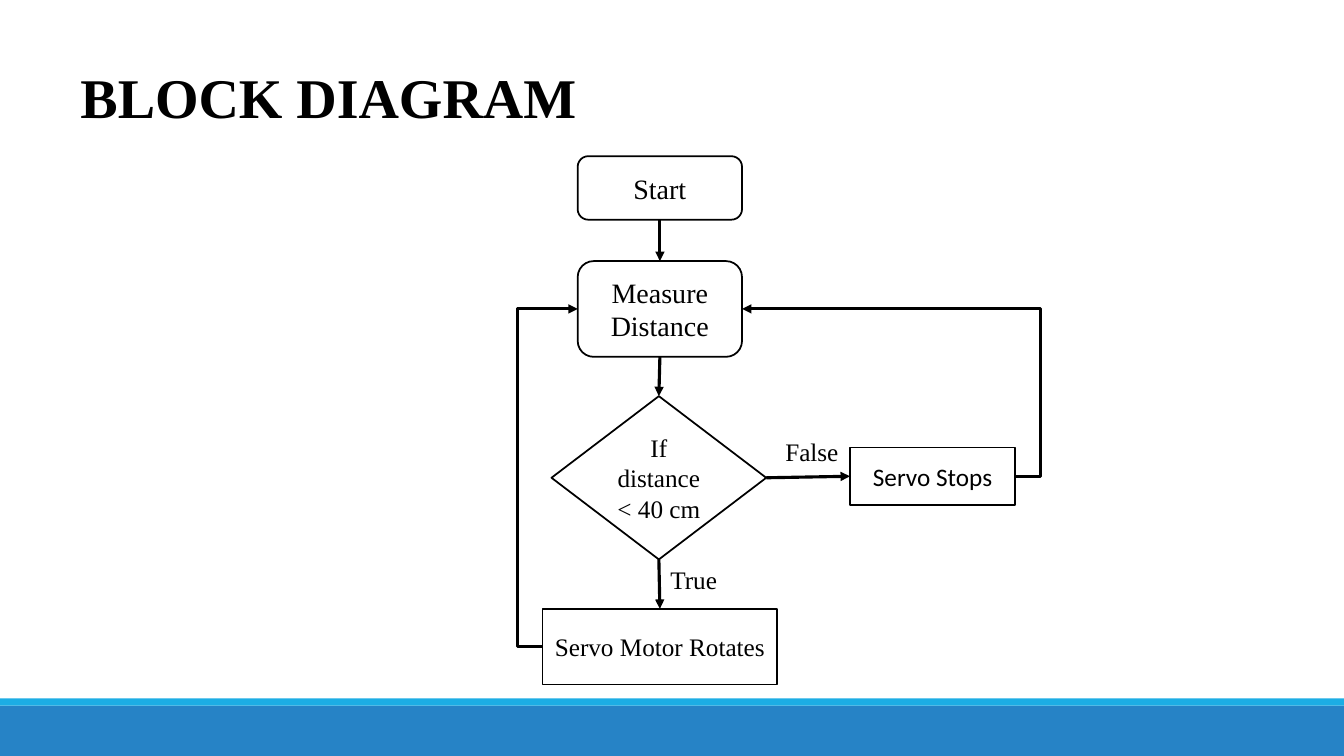
from lxml.etree import SubElement
from pptx import Presentation
from pptx.dml.color import RGBColor
from pptx.enum.shapes import MSO_CONNECTOR, MSO_SHAPE
from pptx.enum.text import MSO_ANCHOR, PP_ALIGN
from pptx.oxml.ns import qn
from pptx.util import Inches, Pt

COLORS = {"ink": "000000", "paper": "FFFFFF", "bar": "2683C6", "stripe": "1CADE4"}
SERIF, SANS = "Times New Roman", "Calibri"
WIDE, HIGH = 13.33, 7.5
CELL = 0.1  # grid pitch of the flow chart, in inches
LANE = 0.25  # distance of a return path from the node it leaves
TOP, LEFT, BOTTOM, RIGHT = range(4)

# name: shape, text, (column, row, columns, rows), size, font
NODES = {
    "start": (MSO_SHAPE.ROUNDED_RECTANGLE, "Start", (6, 0, 16.3, 6.3), 20, SERIF),
    "measure": (MSO_SHAPE.ROUNDED_RECTANGLE, "Measure Distance",
                (6, 10.4, 16.3, 9.5), 20, SERIF),
    "test": (MSO_SHAPE.DIAMOND, "If distance < 40 cm",
             (3.4, 23.8, 21.3, 16.2), 18, SERIF),
    "rotate": (MSO_SHAPE.RECTANGLE, "Servo Motor Rotates",
               (2.5, 44.9, 23.3, 7.5), 18, SERIF),
    "stop": (MSO_SHAPE.RECTANGLE, "Servo Stops", (33, 28.9, 16.4, 5.7), 18, SANS),
}
LINKS = [
    ("start", BOTTOM, "measure", TOP),
    ("measure", BOTTOM, "test", TOP),
    ("test", BOTTOM, "rotate", TOP),
    ("test", RIGHT, "stop", LEFT),
    ("stop", RIGHT, "measure", RIGHT),
    ("rotate", LEFT, "measure", LEFT),
]
LABELS = [("True", (14.2, 40, 6.7, 4)), ("False", (25.6, 27.3, 7.3, 4))]


def tint(name):
    return RGBColor.from_string(COLORS[name])


def style(para, size, face, bold=False):
    font = para.font
    font.size, font.name, font.bold = Pt(size), face, bold
    font.color.rgb = tint("ink")


def shape(slide, kind, box, fill):
    item = slide.shapes.add_shape(kind, *map(Inches, box))
    item.shadow.inherit = False
    item.fill.solid()
    item.fill.fore_color.rgb = tint(fill)
    item.line.fill.background()
    return item


def label(slide, text, box, size, bold=False):
    frame = slide.shapes.add_textbox(*map(Inches, box)).text_frame
    frame.word_wrap = False
    frame.text = text
    style(frame.paragraphs[0], size, SERIF, bold)


def node(slide, kind, text, box, size, face):
    item = shape(slide, kind, box, "paper")
    item.line.color.rgb = tint("ink")
    item.line.width = Pt(1.25)
    frame = item.text_frame
    frame.word_wrap = True
    frame.vertical_anchor = MSO_ANCHOR.MIDDLE
    frame.text = text
    para = frame.paragraphs[0]
    para.alignment = PP_ALIGN.CENTER
    style(para, size, face)
    return item


def link(slide, tail, out, head, into):
    # A path that leaves and enters on the same side loops round in a lane
    loop = out == into
    kind = MSO_CONNECTOR.ELBOW if loop else MSO_CONNECTOR.STRAIGHT
    wire = slide.shapes.add_connector(kind, 0, 0, 0, 0)
    wire.begin_connect(tail, out)
    wire.end_connect(head, into)
    wire.line.color.rgb = tint("ink")
    wire.line.width = Pt(2.25)
    props = wire.element.spPr
    if loop:
        bend = round(-LANE / wire.width.inches * 100000)
        guides = props.find(qn("a:prstGeom")).get_or_add_avLst()
        SubElement(guides, qn("a:gd"), name="adj1", fmla=f"val {bend}")
    SubElement(props.find(qn("a:ln")), qn("a:tailEnd"), type="triangle")
    SubElement(props, qn("a:effectLst"))


def footer(slide, box):
    x, y, w, h = box
    thin = 0.07
    shape(slide, MSO_SHAPE.RECTANGLE, (x, y + thin, w, h - thin), "bar")
    shape(slide, MSO_SHAPE.RECTANGLE, (x, y, w, thin), "stripe")


def chart(slide, x, y):
    def place(cells):
        col, row, cols, rows = (CELL * n for n in cells)
        return x + col, y + row, cols, rows

    # Nodes, then the arrows between them, then the branch names
    made = {name: node(slide, kind, text, place(cells), size, face)
            for name, (kind, text, cells, size, face) in NODES.items()}
    for tail, out, head, into in LINKS:
        link(slide, made[tail], out, made[head], into)
    for text, cells in LABELS:
        label(slide, text, place(cells), 18)


def main():
    deck = Presentation()
    deck.slide_width, deck.slide_height = Inches(WIDE), Inches(HIGH)
    slide = deck.slides.add_slide(deck.slide_layouts[6])
    footer(slide, (0, 6.93, WIDE, HIGH - 6.93))
    label(slide, "BLOCK DIAGRAM", (0.7, 0.57, 5.17, 0.77), 40, True)
    chart(slide, 5.13, 1.55)
    deck.save("out.pptx")


if __name__ == "__main__":
    main()
